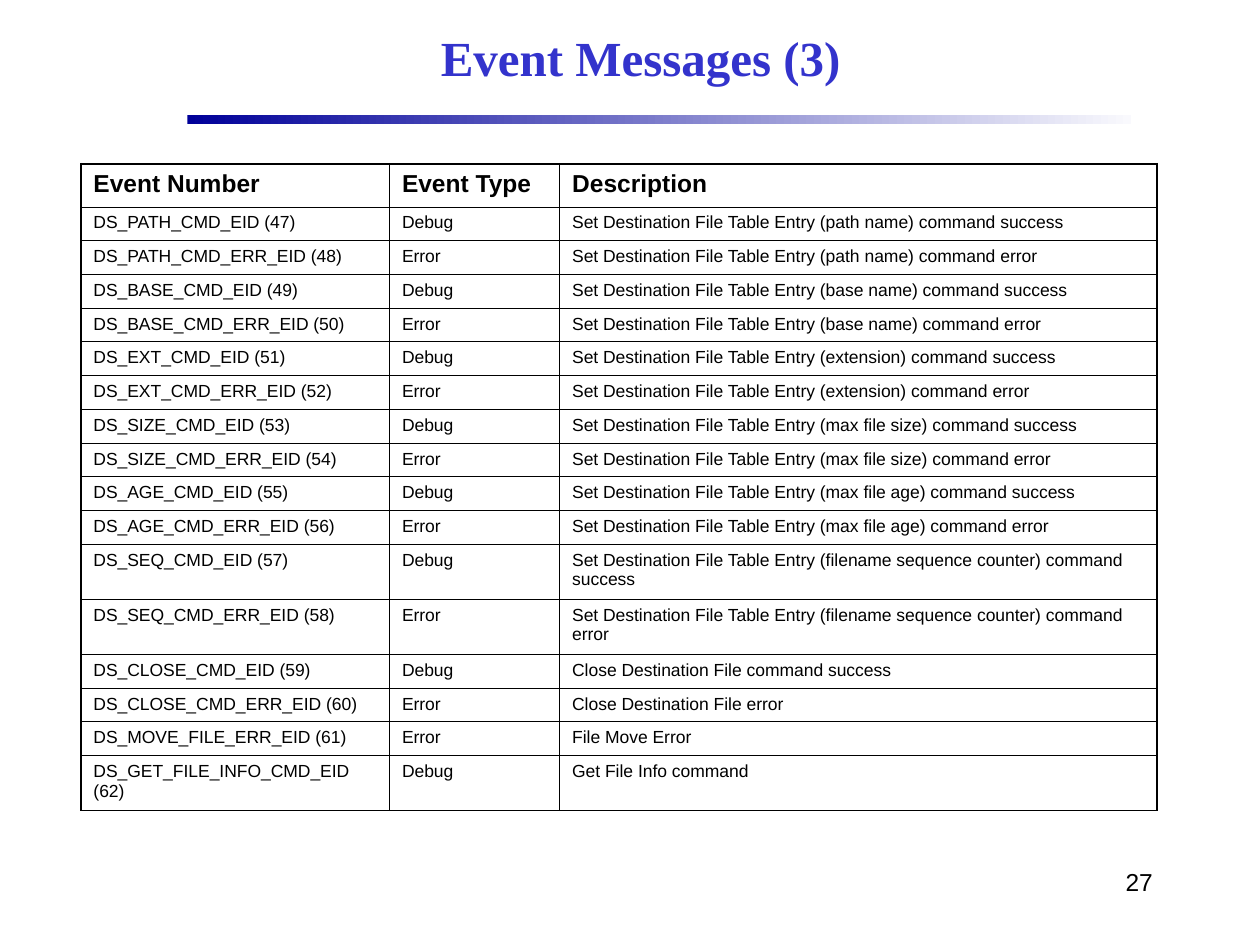
from lxml.etree import SubElement
from pptx import Presentation
from pptx.dml.color import RGBColor
from pptx.enum.shapes import MSO_SHAPE as Shape
from pptx.enum.text import MSO_ANCHOR as Anchor, PP_ALIGN as Align
from pptx.oxml.ns import qn
from pptx.util import Cm, Pt

BLACK = RGBColor(0x00, 0x00, 0x00)
TITLE_BLUE = RGBColor(0x33, 0x33, 0xCC)
NAVY = RGBColor(0x00, 0x00, 0x99)
PALE = RGBColor(0xF9, 0xF9, 0xFD)

THIN, THICK = Pt(0.45), Pt(1.08)
COLUMN_WIDTHS = (6.22, 3.43, 12.04)
HEADER_HEIGHT, ROW_HEIGHT, TALL_ROW_HEIGHT = 0.87, 0.68, 1.11
TWO_LINE_EVENTS = (57, 58, 62)
FIRST_EVENT = 47

HEADER = ("Event Number", "Event Type", "Description")
EVENTS = (
    ("DS_PATH_CMD_EID", "Debug", "Set Destination File Table Entry (path name) command success"),
    ("DS_PATH_CMD_ERR_EID", "Error", "Set Destination File Table Entry (path name) command error"),
    ("DS_BASE_CMD_EID", "Debug", "Set Destination File Table Entry (base name) command success"),
    ("DS_BASE_CMD_ERR_EID", "Error", "Set Destination File Table Entry (base name) command error"),
    ("DS_EXT_CMD_EID", "Debug", "Set Destination File Table Entry (extension) command success"),
    ("DS_EXT_CMD_ERR_EID", "Error", "Set Destination File Table Entry (extension) command error"),
    ("DS_SIZE_CMD_EID", "Debug", "Set Destination File Table Entry (max file size) command success"),
    ("DS_SIZE_CMD_ERR_EID", "Error", "Set Destination File Table Entry (max file size) command error"),
    ("DS_AGE_CMD_EID", "Debug", "Set Destination File Table Entry (max file age) command success"),
    ("DS_AGE_CMD_ERR_EID", "Error", "Set Destination File Table Entry (max file age) command error"),
    ("DS_SEQ_CMD_EID", "Debug",
     "Set Destination File Table Entry (filename sequence counter) command success"),
    ("DS_SEQ_CMD_ERR_EID", "Error",
     "Set Destination File Table Entry (filename sequence counter) command error"),
    ("DS_CLOSE_CMD_EID", "Debug", "Close Destination File command success"),
    ("DS_CLOSE_CMD_ERR_EID", "Error", "Close Destination File error"),
    ("DS_MOVE_FILE_ERR_EID", "Error", "File Move Error"),
    ("DS_GET_FILE_INFO_CMD_EID", "Debug", "Get File Info command"),
)


def add_run(p, text, size, font="Arial", color=BLACK, bold=False):
    r = p.add_run()
    r.text = text
    r.font.size = Pt(size)
    r.font.name = font
    r.font.color.rgb = color
    r.font.bold = bold


def set_title(s, text):
    sp = s.shapes.title
    sp.left, sp.top, sp.width, sp.height = Cm(3.81), Cm(0.2), Cm(18.21), Cm(1.9)
    tf = sp.text_frame
    tf.vertical_anchor = Anchor.MIDDLE
    p = tf.paragraphs[0]
    p.alignment = Align.CENTER
    add_run(p, text, 28, "Times New Roman", TITLE_BLUE, True)


def add_gradient_rule(s):
    sp = s.shapes.add_shape(Shape.RECTANGLE, Cm(3.78), Cm(2.32), Cm(19.02), Cm(0.18))
    sp.shadow.inherit = False
    sp.line.fill.background()
    sp.fill.gradient()
    sp.fill.gradient_angle = 0
    for stop, color in zip(sp.fill.gradient_stops, (NAVY, PALE)):
        stop.color.rgb = color


def add_page_number(s, text):
    sp = s.shapes.add_textbox(Cm(18.21), Cm(17.35), Cm(5.28), Cm(1.27))
    tf = sp.text_frame
    tf.word_wrap = True
    p = tf.paragraphs[0]
    p.alignment = Align.RIGHT
    add_run(p, text, 14)


def set_borders(cell, left, right, top, bottom):
    """Put the four lines ahead of the cell's fill, as the schema requires."""
    tc_pr = cell._tc.get_or_add_tcPr()
    widths = {"a:lnL": left, "a:lnR": right, "a:lnT": top, "a:lnB": bottom}
    for i, (tag, width) in enumerate(widths.items()):
        ln = SubElement(tc_pr, qn(tag), w=str(int(width)))
        fill = SubElement(ln, qn("a:solidFill"))
        SubElement(fill, qn("a:srgbClr"), val=str(BLACK))
        tc_pr.insert(i, ln)


def add_event_table(s):
    rows = [HEADER] + [
        (f"{name} ({number})", kind, description)
        for number, (name, kind, description) in enumerate(EVENTS, FIRST_EVENT)
    ]
    heights = [HEADER_HEIGHT] + [
        TALL_ROW_HEIGHT if FIRST_EVENT + i in TWO_LINE_EVENTS else ROW_HEIGHT
        for i in range(len(EVENTS))
    ]
    frame = s.shapes.add_table(len(rows), len(HEADER), Cm(1.63), Cm(3.3),
                               Cm(sum(COLUMN_WIDTHS)), Cm(sum(heights)))
    table = frame.table
    table.first_row = table.horz_banding = False
    for column, width in zip(table.columns, COLUMN_WIDTHS):
        column.width = Cm(width)
    last = len(HEADER) - 1
    for i, texts in enumerate(rows):
        table.rows[i].height = Cm(heights[i])
        is_header = i == 0
        for j, text in enumerate(texts):
            cell = table.cell(i, j)
            cell.fill.background()
            set_borders(cell,
                        left=THICK if j == 0 else THIN,
                        right=THICK if j == last else THIN,
                        top=THICK if is_header else THIN,
                        bottom=THIN)
            p = cell.text_frame.paragraphs[0]
            p.space_before = Pt(6.1 if is_header else 4.4)
            add_run(p, text, 14 if is_header else 10, bold=is_header)


def main():
    prs = Presentation()
    prs.slide_width, prs.slide_height = Cm(25.4), Cm(19.05)
    s = prs.slides.add_slide(prs.slide_layouts[5])
    add_gradient_rule(s)
    add_page_number(s, "27")
    set_title(s, "Event Messages (3)")
    add_event_table(s)
    prs.save("out.pptx")


if __name__ == "__main__":
    main()
